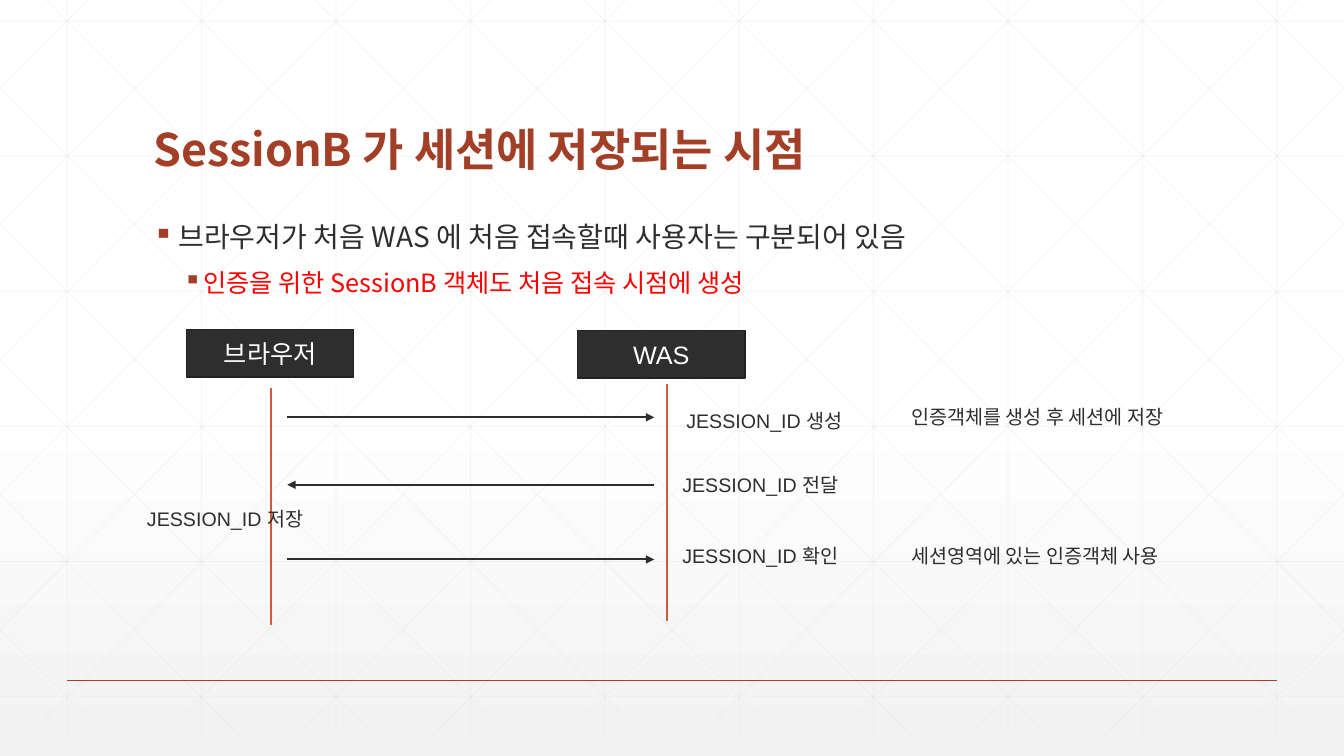
from collections import namedtuple

from lxml import etree
from pptx import Presentation
from pptx.dml.color import RGBColor
from pptx.enum.shapes import MSO_CONNECTOR as LINE, MSO_SHAPE as SHAPE
from pptx.enum.text import MSO_ANCHOR as ANCHOR, MSO_AUTO_SIZE as FIT, PP_ALIGN as ALIGN
from pptx.oxml.ns import qn
from pptx.util import Inches, Pt

WIDTH, HEIGHT = 13.333, 7.5
# The layout grid has 100 columns and 100 rows
COL, ROW = WIDTH / 100, HEIGHT / 100
KOREAN, LATIN = "Noto Sans CJK KR", "Arial"
RUST, ORANGE, INK, GRID = "A43F27", "D15A3E", "2D2E2D", "D9D9D9"
Box = namedtuple("Box", "x y w h")


def color(hex_code):
    return RGBColor.from_string(hex_code)


def inside(box, x, y, w, h):
    return Box(box.x + x, box.y + y, w, h)


def emu(box):
    return [Inches(n) for n in (box.x * COL, box.y * ROW, box.w * COL, box.h * ROW)]


def add_line(slide, x1, y1, x2, y2, stroke, width, opacity=None, arrow=False):
    line = slide.shapes.add_connector(
        LINE.STRAIGHT, Inches(x1 * COL), Inches(y1 * ROW), Inches(x2 * COL), Inches(y2 * ROW))
    line.line.color.rgb = color(stroke)
    line.line.width = Pt(width)
    properties = line.line._get_or_add_ln()
    if opacity:
        tint = properties.find(".//" + qn("a:srgbClr"))
        etree.SubElement(tint, qn("a:alpha"), val=str(opacity * 1000))
    if arrow:
        etree.SubElement(properties, qn("a:tailEnd"), type="triangle")
    etree.SubElement(line._element.spPr, qn("a:effectLst"))


def write(paragraph, text, size, fill=INK, font=LATIN, bold=False, align=ALIGN.LEFT,
          spacing=None, before=None):
    paragraph.alignment = align
    if spacing:
        paragraph.line_spacing = spacing
    if before:
        paragraph.space_before = Pt(before)
    run = paragraph.add_run()
    run.text = text
    run.font.size, run.font.bold, run.font.name = Pt(size), bold, font
    run.font.color.rgb = color(fill)
    east_asian = etree.Element(qn("a:ea"), typeface=KOREAN)
    run.font._element.find(qn("a:latin")).addnext(east_asian)


def add_text(slide, box, wrap=True, fit=FIT.NONE, anchor=ANCHOR.TOP):
    frame = slide.shapes.add_textbox(*emu(box)).text_frame
    frame.word_wrap, frame.auto_size, frame.vertical_anchor = wrap, fit, anchor
    return frame


def add_bullet(paragraph, indent, hanging):
    properties = paragraph._p.get_or_add_pPr()
    properties.set("marL", str(Inches(indent)))
    properties.set("indent", str(-Inches(hanging)))
    tint = etree.SubElement(properties, qn("a:buClr"))
    etree.SubElement(tint, qn("a:srgbClr"), val=RUST)
    etree.SubElement(properties, qn("a:buChar"), char="▪")


def draw_background(slide):
    # Vertical fade to grey
    fade = slide.background.fill
    fade.gradient()
    fade.gradient_angle = 270
    for stop, position, tint in zip(fade.gradient_stops, (0.53, 1), ("FFFFFF", "F2F2F2")):
        stop.position, stop.color.rgb = position, color(tint)

    # Square mesh
    top, bottom, step = -2.8, 97.2, 10
    for column in range(10):
        x = 5 + column * step
        add_line(slide, x, top, x, bottom, GRID, 0.5, 25)
    for row in range(6):
        y = 2.8 + row * 17.87
        add_line(slide, 0, y, 100, y, GRID, 0.5, 25)

    # Diagonals, clipped at the slide's sides, and their mirror images
    run, rise = 55.9, bottom - top
    for number in range(-5, 10):
        start = 1.88 + number * step
        x1, x2 = max(start, 0), min(start + run, 100)
        y1, y2 = (top + (x - start) * rise / run for x in (x1, x2))
        add_line(slide, x1, y1, x2, y2, GRID, 0.5, 25)
        add_line(slide, 100 - x1, y1, 100 - x2, y2, GRID, 0.5, 25)

    # Footer rule
    add_line(slide, 5, 90, 95, 90, RUST, 1)


def draw_title(slide, box):
    title = add_text(slide, box, anchor=ANCHOR.BOTTOM)
    write(title.paragraphs[0], "SessionB 가 세션에 저장되는 시점", size=32, fill=RUST,
          font=KOREAN, bold=True, spacing=0.9)


def draw_points(slide, box):
    points = add_text(slide, box)
    main = points.paragraphs[0]
    add_bullet(main, 0.25, 0.25)
    write(main, "브라우저가 처음 WAS 에 처음 접속할때 사용자는 구분되어 있음",
          size=20, font=KOREAN, spacing=0.9)
    detail = points.add_paragraph()
    detail.level = 1
    add_bullet(detail, 0.5, 0.2)
    write(detail, "인증을 위한 SessionB 객체도 처음 접속 시점에 생성",
          size=18, fill="FF0000", font=KOREAN, spacing=0.9, before=12)


def draw_sequence(slide, box):
    # Participants and their lifelines
    for name, x, y, life_x, life_y in (("브라우저", 3.23, 0, 9.53, 7.73),
                                       ("WAS", 32.33, 0.13, 39, 7.2)):
        head = slide.shapes.add_shape(SHAPE.RECTANGLE, *emu(inside(box, x, y, 12.45, 6.27)))
        head.shadow.inherit = False
        head.fill.solid()
        head.fill.fore_color.rgb = color(INK)
        head.line.color.rgb = color("212221")
        head.line.width = Pt(1)
        head.text_frame.vertical_anchor = ANCHOR.MIDDLE
        write(head.text_frame.paragraphs[0], name, size=18, fill="FFFFFF", align=ALIGN.CENTER)
        life = inside(box, life_x, life_y, 0, 31.33)
        add_line(slide, life.x, life.y, life.x, life.y + life.h, ORANGE, 1.5)

    # Messages
    browser, server = box.x + 10.73, box.x + 38.03
    for y, start, end in ((11.6, browser, server), (20.53, server, browser),
                          (30.4, browser, server)):
        add_line(slide, start, box.y + y, end, box.y + y, INK, 1.5, arrow=True)

    # Notes beside the lifelines
    for text, x, y, w, h, wrap in (
            ("JESSION_ID 생성", 39.68, 9.87, 13.5, 4.53, False),
            ("JESSION_ID 전달", 39.38, 18.27, 13.5, 4.53, False),
            ("JESSION_ID 확인", 39.38, 27.73, 13.5, 4.53, False),
            ("JESSION_ID 저장", -0.45, 22.8, 13.28, 7.6, True),
            ("인증객체를 생성 후 세션에 저장", 56.4, 9.33, 22.28, 4.53, False),
            ("세션영역에 있는 인증객체 사용", 56.4, 27.73, 21.9, 4.53, False)):
        note = add_text(slide, inside(box, x, y, w, h), wrap, FIT.SHAPE_TO_FIT_TEXT)
        write(note.paragraphs[0], text, size=14)


def main():
    deck = Presentation()
    deck.slide_width, deck.slide_height = Inches(WIDTH), Inches(HEIGHT)
    slide = deck.slides.add_slide(deck.slide_layouts[6])
    draw_background(slide)
    draw_title(slide, Box(10.65, 7.33, 78.75, 16.67))
    draw_points(slide, Box(10.65, 28.93, 78.75, 55.6))
    draw_sequence(slide, Box(10.65, 43.6, 78.75, 39.1))
    deck.save("out.pptx")


if __name__ == "__main__":
    main()
